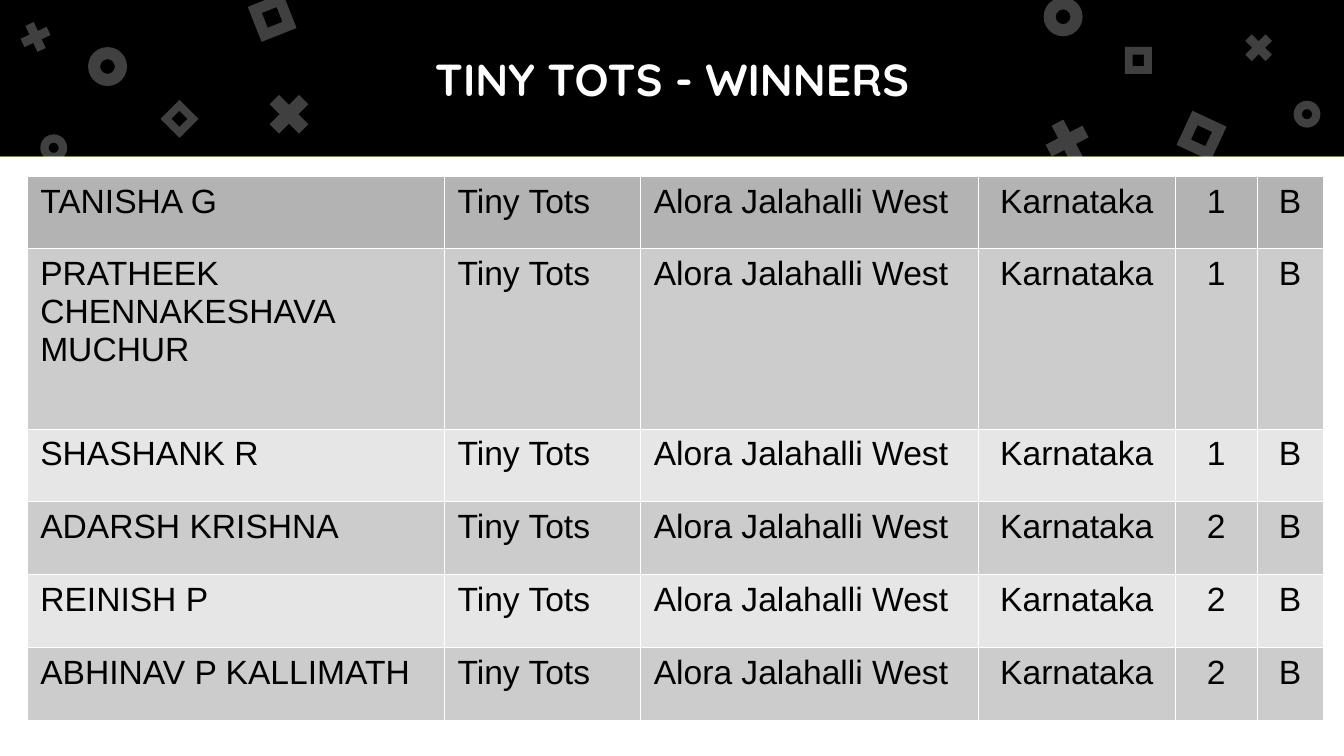
from lxml.etree import SubElement
from pptx import Presentation
from pptx.dml.color import RGBColor
from pptx.enum.shapes import MSO_SHAPE
from pptx.enum.text import MSO_ANCHOR, PP_ALIGN
from pptx.oxml.ns import qn
from pptx.util import Pt

PX = 4572  # EMU per px, 200 px to the inch
THEME = {
    "page": RGBColor.from_string("7BD100"),
    "black": RGBColor.from_string("000000"),
    "white": RGBColor.from_string("FFFFFF"),
    "head_row": RGBColor.from_string("B3B3B3"),
    "bands": [RGBColor.from_string("E6E6E6"), RGBColor.from_string("CCCCCC")],
    "title_font": "Quicksand", "title_size": Pt(24),
    "cell_font": "Arial", "cell_size": Pt(18),
}


def add_filled(kind, left, top, width, height, color):
    shape = page.shapes.add_shape(kind, left * PX, top * PX, width * PX, height * PX)
    shape.shadow.inherit = False
    shape.fill.solid()
    shape.fill.fore_color.rgb = color
    shape.line.fill.background()
    return shape


def add_span(para, text, font, size, color, bold=False):
    span = para.add_run()
    span.text = text
    span.font.name = font
    span.font.size = size
    span.font.color.rgb = color
    span.font.bold = bold


deck = Presentation()
deck.slide_width, deck.slide_height = 2000 * PX, 1125 * PX
page = deck.slides.add_slide(deck.slide_layouts[6])
page.background.fill.solid()
page.background.fill.fore_color.rgb = THEME["page"]

# Header band and body
band_height = 233
add_filled(MSO_SHAPE.RECTANGLE, 0, 0, 2000, band_height, THEME["black"])
add_filled(MSO_SHAPE.RECTANGLE, 0, band_height, 2000, 1125 - band_height, THEME["white"])

# Translucent ornaments: left, top, side, rotation
ornaments = [
    (MSO_SHAPE.DONUT, 0.31,
     [(131, 70, 58, 0), (1553, -4, 58, 0), (60, 200, 40, 0), (1925, 150, 40, 0)]),
    (MSO_SHAPE.MATH_MULTIPLY, 0.235,
     [(388, 128, 84, 0), (1546, 168, 84, 17.5), (24, 26, 58, 20.4), (1844, 42, 58, 0)]),
    (MSO_SHAPE.FRAME, 0.289,
     [(377, -2, 56, 338.4), (1760, 174, 56, 25), (247, 157, 40, 45), (1674, 70, 40, 0)]),
]
for kind, thickness, places in ornaments:
    for left, top, side, rotation in places:
        ornament = add_filled(kind, left, top, side, side, THEME["white"])
        ornament.adjustments[0] = thickness
        ornament.rotation = rotation
        color = ornament.fill._xPr.find(qn("a:solidFill"))[0]
        SubElement(color, qn("a:alpha"), val="25000")

# Title
box = page.shapes.add_textbox(100 * PX, 0, 1800 * PX, band_height * PX)
frame = box.text_frame
frame.word_wrap = True
frame.vertical_anchor = MSO_ANCHOR.MIDDLE
frame.margin_left = frame.margin_right = frame.margin_top = frame.margin_bottom = 20 * PX
para = frame.paragraphs[0]
para.alignment = PP_ALIGN.CENTER
add_span(para, "TINY TOTS - WINNERS", THEME["title_font"], THEME["title_size"],
         THEME["white"], bold=True)

# Winners table
winners = [
    ("TANISHA G", "1"),
    ("PRATHEEK CHENNAKESHAVA MUCHUR", "1"),
    ("SHASHANK R", "1"),
    ("ADARSH KRISHNA", "2"),
    ("REINISH P", "2"),
    ("ABHINAV P KALLIMATH", "2"),
]
column_widths = [621, 292, 503, 293, 122, 98]
row_heights = [108, 268, 108, 109, 108, 109]
table = page.shapes.add_table(
    len(row_heights), len(column_widths), 40 * PX, 262 * PX,
    sum(column_widths) * PX, sum(row_heights) * PX).table
table.first_row = table.horz_banding = False
for column, width in zip(table.columns, column_widths):
    column.width = width * PX
for row, height in zip(table.rows, row_heights):
    row.height = height * PX

for r, (name, place) in enumerate(winners):
    texts = [name, "Tiny Tots", "Alora Jalahalli West", "Karnataka", place, "B"]
    for c, text in enumerate(texts):
        cell = table.cell(r, c)
        cell.margin_left = cell.margin_right = 20 * PX
        cell.margin_top = cell.margin_bottom = 10 * PX
        # Borders come before the fill in the cell properties
        for side in ("a:lnL", "a:lnR", "a:lnT", "a:lnB"):
            border = SubElement(cell._tc.get_or_add_tcPr(), qn(side), w="762")
            paint = SubElement(border, qn("a:solidFill"))
            SubElement(paint, qn("a:srgbClr"), val=str(THEME["white"]))
        cell.fill.solid()
        cell.fill.fore_color.rgb = THEME["bands"][r % 2] if r else THEME["head_row"]
        para = cell.text_frame.paragraphs[0]
        para.alignment = PP_ALIGN.CENTER if c >= 3 else PP_ALIGN.LEFT
        add_span(para, text, THEME["cell_font"], THEME["cell_size"], THEME["black"])

deck.save("out.pptx")
